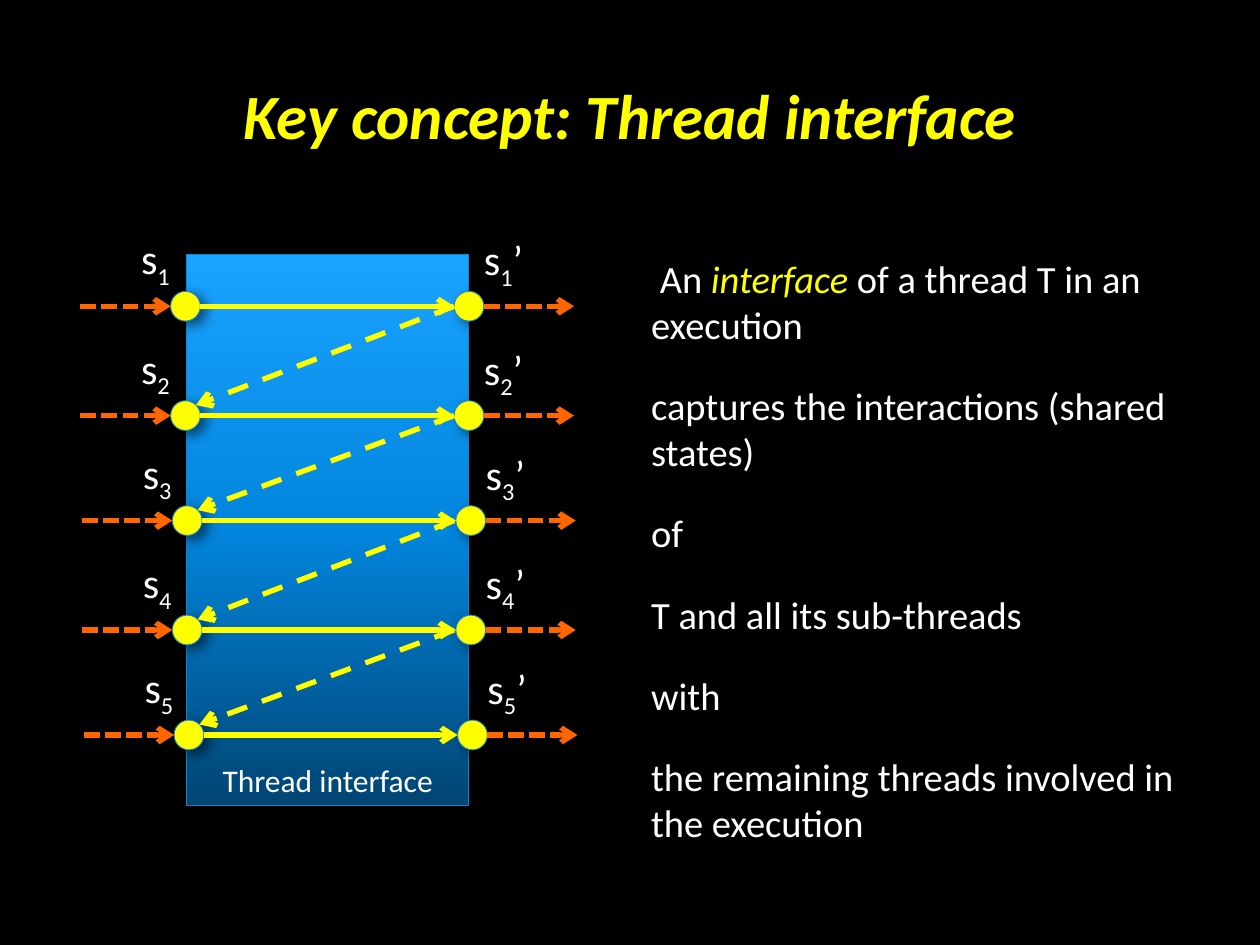
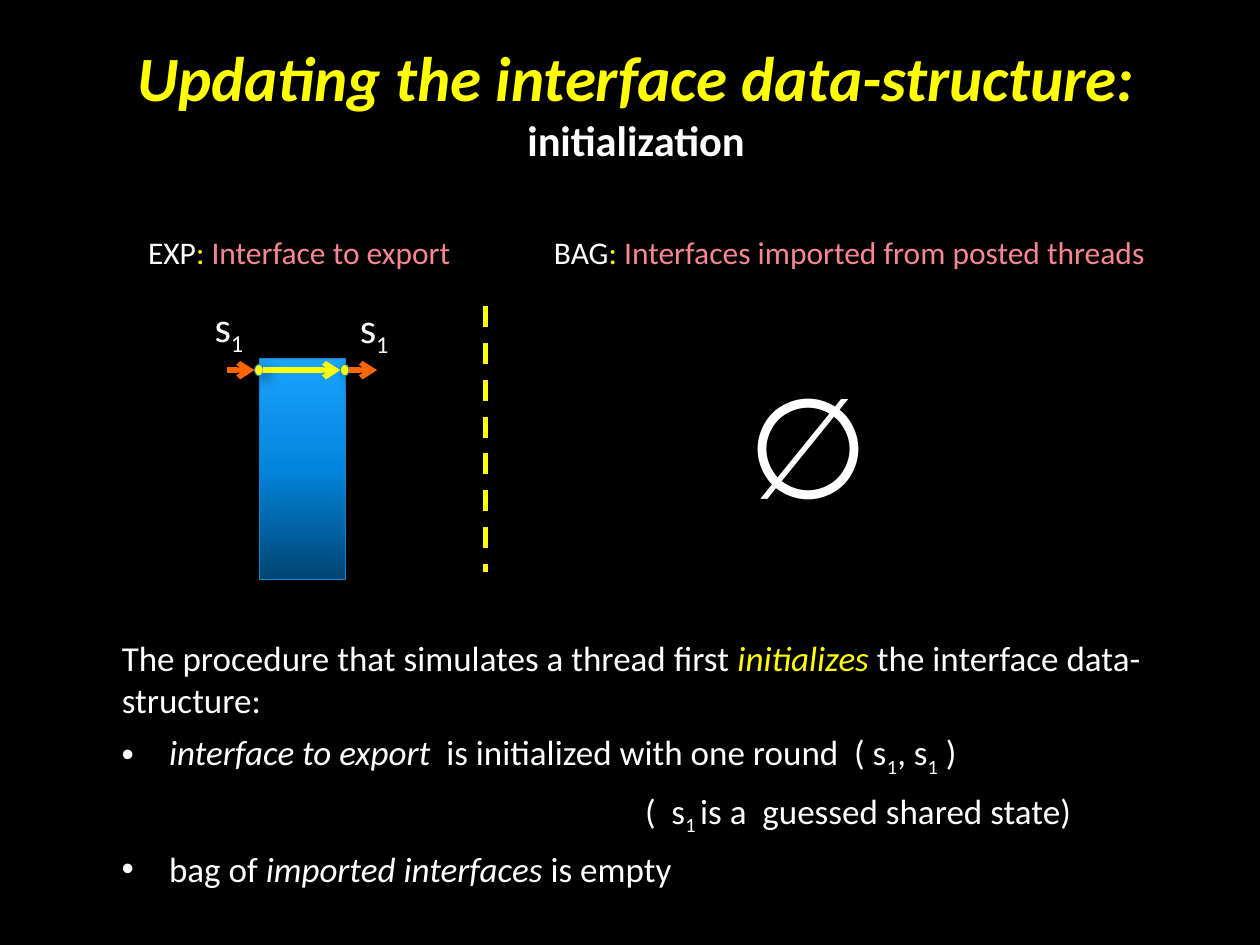
from copy import deepcopy

from lxml import etree
from pptx import Presentation
from pptx.dml.color import RGBColor
from pptx.enum import dml, shapes, text
from pptx.oxml import ns
from pptx.util import Pt

BLACK = RGBColor(0x00, 0x00, 0x00)
WHITE = RGBColor(0xFF, 0xFF, 0xFF)
YELLOW = RGBColor(0xFF, 0xFF, 0x00)
ORANGE = RGBColor(0xFF, 0x66, 0x00)
PINK = RGBColor(0xF8, 0x87, 0x92)
EDGE = RGBColor(0x18, 0x84, 0xCD)
BLUES = (RGBColor(0x01, 0x45, 0x73), RGBColor(0x02, 0x85, 0xDD),
         RGBColor(0x1A, 0xA3, 0xFF))
FONT = "Calibri"

SUB = {"sub": True}
ITAL = {"ital": True}
TERM = {"ital": True, "color": YELLOW}
DASH = dml.MSO_LINE.DASH
DOTS = dml.MSO_LINE.SQUARE_DOT

ROWS = (175, 237.5, 297.5, 360, 420)


def sub(parent, tag, **attrs):
    """Add an XML child to parent."""
    child = etree.SubElement(parent, ns.qn(tag))
    for name, value in attrs.items():
        child.set(name, str(value))
    return child


def style(run, size, color=WHITE, bold=False, ital=False, sub=False):
    font = run.font
    font.name, font.size = FONT, Pt(size)
    font.bold, font.italic = bold, ital
    font.color.rgb = color
    if sub:
        run._r.get_or_add_rPr().set("baseline", "-25000")


def write(box, paras, size=18, align=None, anchor=None, wrap=True, gap=0, **look):
    """Fill box with paragraphs; each is a list of strings or (string, format)."""
    frame = box.text_frame
    frame.word_wrap = wrap
    frame.auto_size = text.MSO_AUTO_SIZE.NONE
    if anchor is not None:
        frame.vertical_anchor = anchor
    for i, runs in enumerate(paras):
        para = frame.add_paragraph() if i else frame.paragraphs[0]
        para.alignment = align
        para.space_before = Pt(gap if i else 0)
        for item in runs:
            words, extra = (item, {}) if isinstance(item, str) else item
            run = para.add_run()
            run.text = words
            style(run, **{"size": size, **look, **extra})
    return frame.paragraphs


def label(slide, x, y, w, h, paras, **look):
    box = slide.shapes.add_textbox(Pt(x), Pt(y), Pt(w), Pt(h))
    return write(box, paras, **look)


def indent(para, left, first=0, bullet=None):
    props = para._p.get_or_add_pPr()
    props.set("marL", str(Pt(left)))
    props.set("indent", str(Pt(first)))
    if bullet:
        sub(props, "a:buFont", typeface="Arial")
        sub(props, "a:buChar", char=bullet)


def solid(slide, kind, x, y, w, h):
    """Add an edged shape with a soft shadow."""
    shape = slide.shapes.add_shape(kind, Pt(x), Pt(y), Pt(w), Pt(h))
    shape.fill.solid()
    shape.fill.fore_color.rgb = YELLOW
    shape.line.color.rgb = EDGE
    shape.line.width = Pt(0.5)
    shape.shadow.inherit = False
    effects = shape._element.spPr.find(ns.qn("a:effectLst"))
    shade = sub(effects, "a:outerShdw", blurRad=Pt(7), dist=Pt(4),
                dir=35 * 60000, rotWithShape=0)
    tint = sub(shade, "a:srgbClr", val=BLACK)
    sub(tint, "a:alpha", val=55000)
    return shape


def panel(slide, x, y, w, h):
    """Add the blue block that stands for a thread interface."""
    block = solid(slide, shapes.MSO_SHAPE.RECTANGLE, x, y, w, h)
    block.fill.gradient()
    block.fill.gradient_angle = 90
    stops = block._element.spPr.find(".//" + ns.qn("a:gsLst"))
    stops.append(deepcopy(stops[0]))
    for i, stop in enumerate(block.fill.gradient_stops):
        stop.color.rgb = BLUES[i]
        stop.position = i / 2
    return block


def line(slide, start, end, color=YELLOW, dash=None, arrow=True):
    link = slide.shapes.add_connector(
        shapes.MSO_CONNECTOR.STRAIGHT, *map(Pt, start + end))
    link.line.color.rgb = color
    link.line.width = Pt(3)
    if dash is not None:
        link.line.dash_style = dash
    if arrow:
        sub(link.line._get_or_add_ln(), "a:tailEnd", type="arrow")
    sub(link._element.spPr, "a:effectLst")


def state(slide, x, y, num, mark=""):
    runs = ["s", (num, SUB)] + ([mark] if mark else [])
    label(slide, x, y, 39 if mark else 32.5, 36, [runs], size=24, wrap=False)


def trip(slide, left, right, y, node, reach, num, mark="", lift=45.5):
    """Draw one round: state in, run through the thread, state out."""
    w, h = node
    for x in (left, right):
        solid(slide, shapes.MSO_SHAPE.OVAL, x - w / 2, y - h / 2, w, h)
    into, out = left - w / 2, right + w / 2
    line(slide, (left + w / 2, y), (right - w / 2, y))
    line(slide, (into - reach, y), (into, y), ORANGE, DOTS)
    line(slide, (out, y), (out + reach, y), ORANGE, DOTS)
    state(slide, left - 32.5, y - lift, num)
    state(slide, right + 1.5, y - lift + 0.5, num, mark)


def page(prs, x, y, title):
    slide = prs.slides.add_slide(prs.slide_layouts[5])
    head = slide.shapes.title
    head.left, head.top, head.width, head.height = map(Pt, (x, y, 612, 112))
    write(head, title, size=36, color=YELLOW, bold=True, ital=True,
          align=text.PP_ALIGN.CENTER, anchor=text.MSO_ANCHOR.MIDDLE)
    return slide


def concept(prs):
    slide = page(prs, 54, 9.5, [["Key concept: Thread interface"]])
    label(slide, 365, 142, 322, 336, [
        [" An ", ("interface ", TERM), "of a thread T in an execution"],
        ["captures the interactions (shared states)"],
        ["of"],
        ["T and all its sub-threads"],
        ["with"],
        ["the remaining threads involved in the execution"],
    ], size=22, gap=20)
    block = panel(slide, 106.5, 145.5, 161.5, 314.5)
    write(block, [["Thread interface"]], align=text.PP_ALIGN.CENTER,
          anchor=text.MSO_ANCHOR.BOTTOM)
    size = 17
    for i, y in enumerate(ROWS):
        left = 106 + i // 2
        right = left + 162
        trip(slide, left, right, y, (size, size), 51.5, str(i + 1), "’")
        if i:
            line(slide, (259.5, ROWS[i - 1]), (left + 6, y - 6), dash=DASH)


def update(prs):
    slide = page(prs, 57.5, 2, [
        ["Updating the interface data-structure:"],
        [("initialization", {"size": 24.3, "color": WHITE, "ital": False})],
    ])
    heads = ((77.5, 203, "EXP", "Interface to export"),
             (309.5, 371, "BAG", "Interfaces imported from posted threads"))
    for x, w, name, sense in heads:
        label(slide, x, 129.5, w, 29, [
            [name, (": ", {"color": YELLOW}), (sense, {"color": PINK})]], wrap=False)
    panel(slide, 148.5, 205, 49, 126)
    trip(slide, 148, 197, 211.5, (5, 6.5), 16, "1", lift=43.5)
    line(slide, (277.5, 175), (277.5, 327), dash=DASH, arrow=False)
    label(slide, 420, 201.5, 54.5, 104.5, [["∅"]], size=80, wrap=False)
    paras = label(slide, 35.5, 360, 651.5, 170, [
        ["The procedure that simulates a thread first ", ("initializes", TERM),
         " the interface data-structure:"],
        [("interface to export ", ITAL), " is initialized with one round  ( s",
         ("1", SUB), ", s", ("1", SUB), " )"],
        ["(  s", ("1 ", SUB), "is a  guessed shared state)"],
        ["bag of ", ("imported interfaces", ITAL), " is empty"],
    ], size=20, gap=6)
    indent(paras[0], 27)
    indent(paras[2], 326)
    for para in (paras[1], paras[3]):
        indent(para, 54, -27, "•")


def main():
    prs = Presentation()
    prs.slide_width, prs.slide_height = Pt(720), Pt(540)
    back = prs.slide_master.background.fill
    back.solid()
    back.fore_color.rgb = BLACK
    concept(prs)
    update(prs)
    prs.save("out.pptx")


if __name__ == "__main__":
    main()
